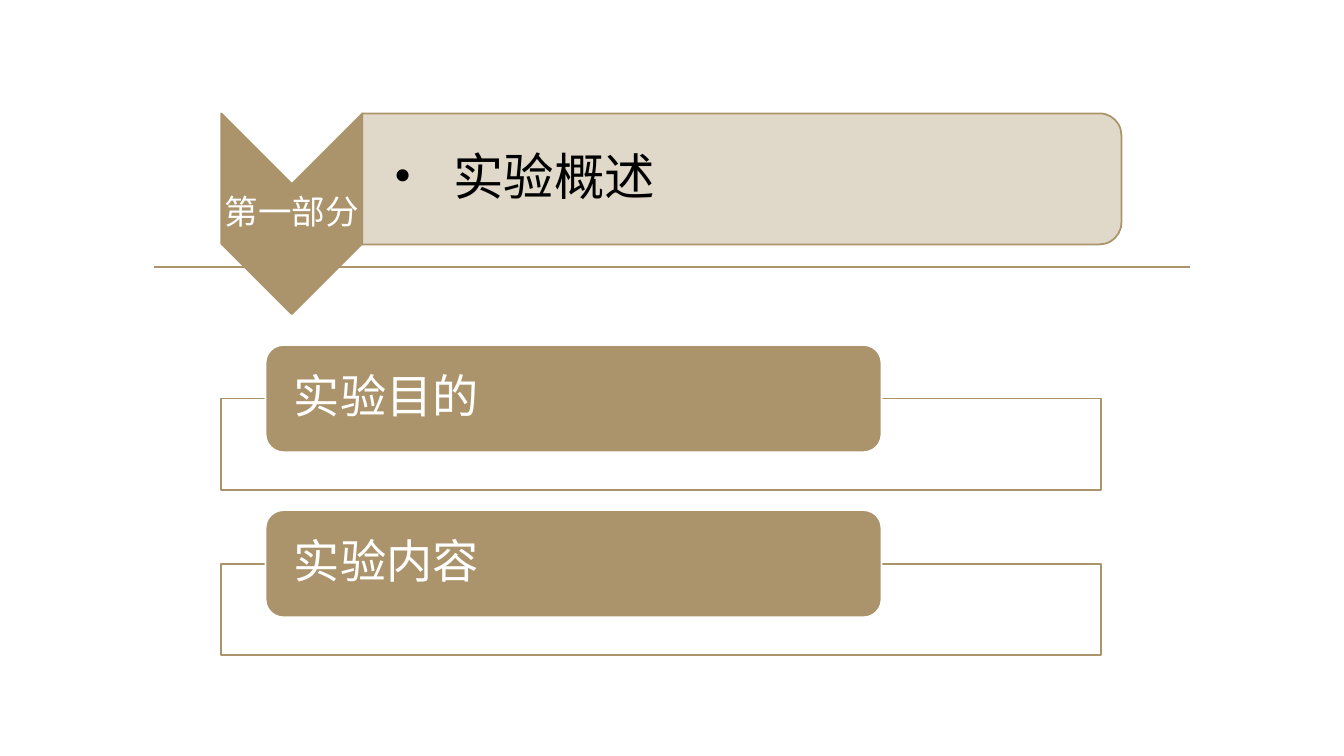
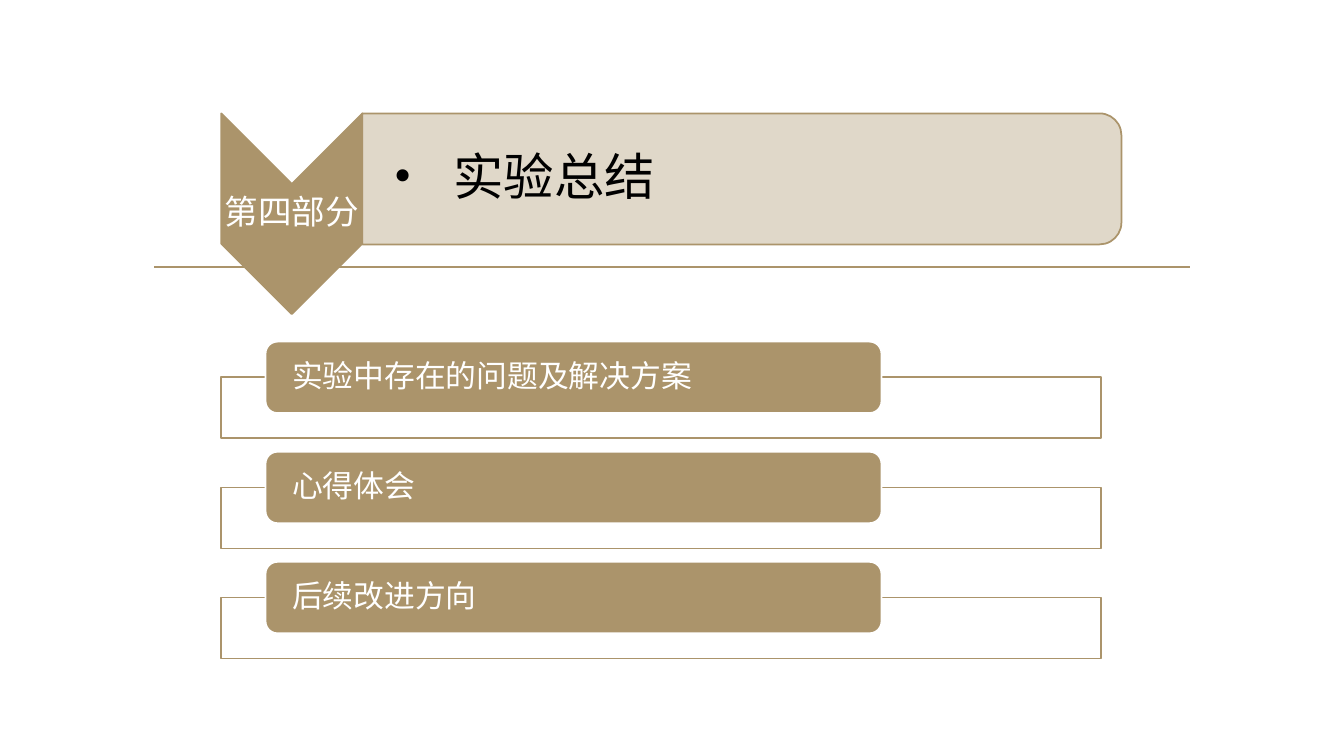
"""Build two section opener slides, each with a part banner and a list of topics."""
from dataclasses import dataclass

from lxml import etree
from pptx import Presentation
from pptx.dml.color import RGBColor
from pptx.enum.shapes import MSO_CONNECTOR, MSO_SHAPE
from pptx.enum.text import MSO_ANCHOR, PP_ALIGN
from pptx.oxml.ns import qn
from pptx.util import Pt

CHEVRON, HEADER = MSO_SHAPE.CHEVRON, MSO_SHAPE.ROUND_2_SAME_RECTANGLE
FRAME, BAR = MSO_SHAPE.RECTANGLE, MSO_SHAPE.ROUNDED_RECTANGLE
STRAIGHT = MSO_CONNECTOR.STRAIGHT
MIDDLE, LEFT, CENTER = MSO_ANCHOR.MIDDLE, PP_ALIGN.LEFT, PP_ALIGN.CENTER

SECTIONS = [
    {"part": "第一部分", "title": "实验概述", "topic_size": 33,
     "topics": ["实验目的", "实验内容"]},
    {"part": "第四部分", "title": "实验总结", "topic_size": 22,
     "topics": ["实验中存在的问题及解决方案", "心得体会", "后续改进方向"]},
]


@dataclass(frozen=True)
class Theme:
    font: str = "Times New Roman"
    accent: str = "AB946B"
    tint: str = "DDD4C4"
    white: str = "FFFFFF"
    black: str = "000000"
    line: float = 1.25
    part_size: int = 24
    title_size: int = 36
    bullet_size: int = 40


THEME = Theme()
SLIDE_W, SLIDE_H = 960, 540
RULE_LEFT, RULE_RIGHT, RULE_Y = 110.2, 850.3, 190.8
BANNER_LEFT, BANNER_TOP = 158, 81
CHEVRON_W, CHEVRON_H = 100.8, 143.3
HEADER_W, HEADER_H = 542.2, 93.6
TITLE_INSET, TITLE_INDENT = 22.5, 42.5
FRAME_W, BAR_W, BAR_OFFSET, BAR_INSET = 628.6, 440, 31.7, 16.6
TOPICS_MIDDLE = 357.2
BAR_RATIO, FRAME_RATIO, PITCH_RATIO = 2.32, 1.98, 3.575


def rgb(value):
    return RGBColor.from_string(value)


def add_block(slide, kind, box, fill, line, quarter_turn=False):
    left, top, width, height = box
    if quarter_turn:
        left, top = left + (width - height) / 2, top + (height - width) / 2
        width, height = height, width
    block = slide.shapes.add_shape(kind, Pt(left), Pt(top), Pt(width), Pt(height))
    block.rotation = 90 if quarter_turn else 0
    block.shadow.inherit = False
    block.fill.solid()
    block.fill.fore_color.rgb = rgb(fill)
    block.line.color.rgb = rgb(line)
    block.line.width = Pt(THEME.line)
    return block


def write(frame, text, size, color, align=LEFT, margins=(0, 0, 0, 0)):
    left, top, right, bottom = map(Pt, margins)
    formats = {"word_wrap": True, "vertical_anchor": MIDDLE, "margin_left": left,
               "margin_top": top, "margin_right": right, "margin_bottom": bottom}
    for name, value in formats.items():
        setattr(frame, name, value)
    paragraph = frame.paragraphs[0]
    paragraph.alignment, paragraph.line_spacing = align, 0.9
    run = paragraph.add_run()
    run.text = text
    for name, value in {"size": Pt(size), "name": THEME.font}.items():
        setattr(run.font, name, value)
    run.font.color.rgb = rgb(color)
    return paragraph


def add_label(slide, box, *text_args, **text_formats):
    label = slide.shapes.add_textbox(*map(Pt, box))
    return write(label.text_frame, *text_args, **text_formats)


def set_bullet(paragraph, indent, size):
    properties = paragraph._p.get_or_add_pPr()
    properties.set("marL", str(Pt(indent)))
    properties.set("indent", str(-Pt(indent)))
    etree.SubElement(properties, qn("a:buSzPts")).set("val", str(size * 100))
    etree.SubElement(properties, qn("a:buFont")).set("typeface", THEME.font)
    etree.SubElement(properties, qn("a:buChar")).set("char", "•")


def add_rule(slide):
    rule = slide.shapes.add_connector(
        STRAIGHT, Pt(RULE_LEFT), Pt(RULE_Y), Pt(RULE_RIGHT), Pt(RULE_Y))
    rule.line.color.rgb = rgb(THEME.accent)
    rule.line.width = Pt(THEME.line)
    etree.SubElement(rule._element.spPr, qn("a:effectLst"))


def add_banner(slide, part, title):
    chevron_box = (BANNER_LEFT, BANNER_TOP, CHEVRON_W, CHEVRON_H)
    header_box = (BANNER_LEFT + CHEVRON_W, BANNER_TOP, HEADER_W, HEADER_H)
    add_block(slide, CHEVRON, chevron_box, THEME.accent, THEME.accent, True)
    add_label(slide, chevron_box, part, THEME.part_size, THEME.white,
              align=CENTER, margins=(1, 1, 1, 1))
    header = add_block(slide, HEADER, header_box, THEME.tint, THEME.accent, True)
    tint = header._element.spPr.find(qn("a:solidFill"))[0]
    etree.SubElement(tint, qn("a:alpha")).set("val", "90000")
    heading = add_label(slide, header_box, title, THEME.title_size, THEME.black,
                        margins=(TITLE_INSET, 2, 2, 2))
    set_bullet(heading, TITLE_INDENT, THEME.bullet_size)


def add_topics(slide, topics, size):
    bar_h, frame_h, pitch = (size * ratio for ratio in (BAR_RATIO, FRAME_RATIO, PITCH_RATIO))
    total_h = (len(topics) - 1) * pitch + bar_h / 2 + frame_h
    first_top = TOPICS_MIDDLE - total_h / 2
    for index, topic in enumerate(topics):
        top = first_top + index * pitch
        add_block(slide, FRAME, (BANNER_LEFT, top + bar_h / 2, FRAME_W, frame_h),
                  THEME.white, THEME.accent)
        bar = add_block(slide, BAR, (BANNER_LEFT + BAR_OFFSET, top, BAR_W, bar_h),
                        THEME.accent, THEME.white)
        write(bar.text_frame, topic, size, THEME.white,
              margins=(BAR_INSET, 0, BAR_INSET, 0))


def main():
    deck = Presentation()
    deck.slide_width, deck.slide_height = Pt(SLIDE_W), Pt(SLIDE_H)
    for section in SECTIONS:
        slide = deck.slides.add_slide(deck.slide_layouts[6])
        add_rule(slide)
        add_banner(slide, section["part"], section["title"])
        add_topics(slide, section["topics"], section["topic_size"])
    deck.save("out.pptx")


if __name__ == "__main__":
    main()
